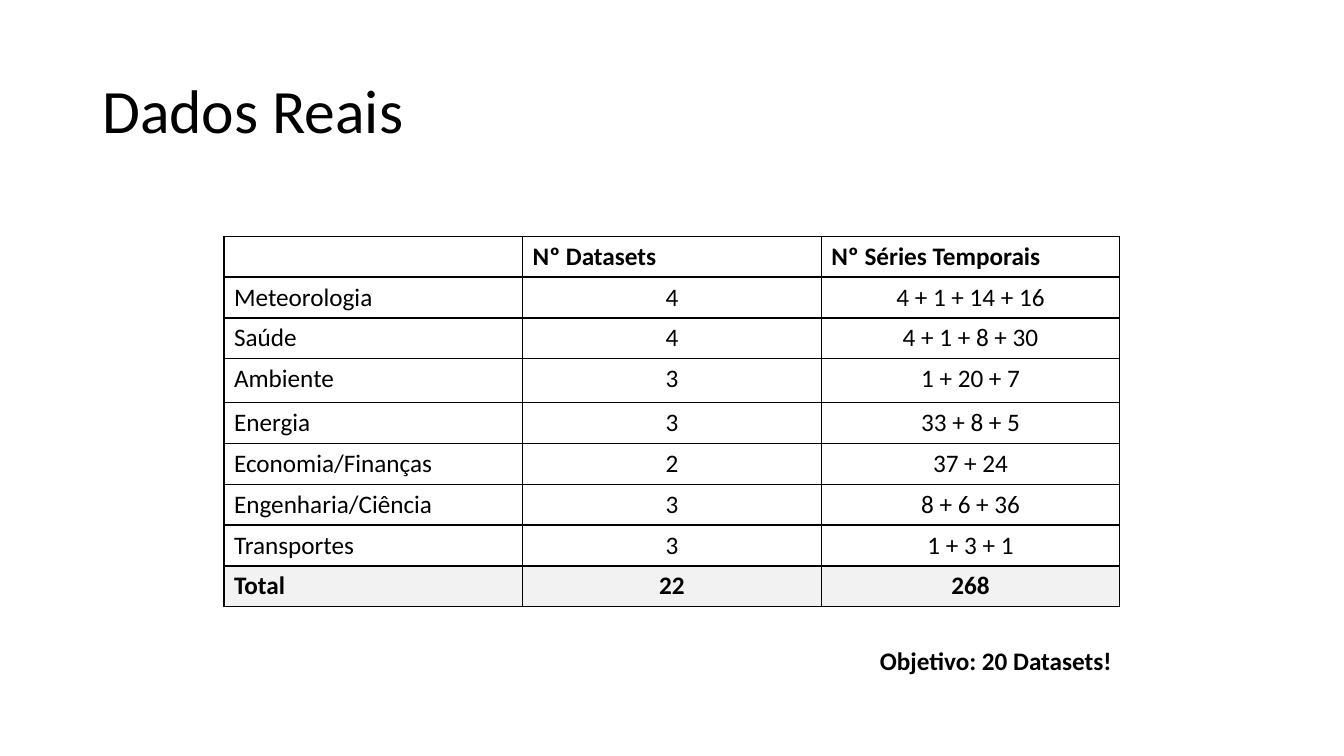
import pptx
import pptx.util
import pptx.dml.color
import pptx.enum.text
import pptx.oxml
import pptx.oxml.ns

Pt = pptx.util.Pt
Align = pptx.enum.text.PP_ALIGN
Anchor = pptx.enum.text.MSO_ANCHOR

ROWS = [
    ("", "Nº Datasets", "Nº Séries Temporais"),
    ("Meteorologia", "4", "4 + 1 + 14 + 16"),
    ("Saúde", "4", "4 + 1 + 8 + 30"),
    ("Ambiente", "3", "1 + 20 + 7"),
    ("Energia", "3", "33 + 8 + 5"),
    ("Economia/Finanças", "2", "37 + 24"),
    ("Engenharia/Ciência", "3", "8 + 6 + 36"),
    ("Transportes", "3", "1 + 3 + 1"),
    ("Total", "22", "268"),
]


def color(text):
    return pptx.dml.color.RGBColor.from_string(text)


def write(para, text, size, bold=False):
    run = para.add_run()
    run.text = text
    run.font.name = "Calibri"
    run.font.size = Pt(size)
    run.font.bold = bold
    run.font.color.rgb = color("000000")


def border(cell):
    props = cell._tc.get_or_add_tcPr()
    for index, side in enumerate(("lnL", "lnR", "lnT", "lnB")):
        line = pptx.oxml.parse_xml(
            f'<a:{side} {pptx.oxml.ns.nsdecls("a")} w="{Pt(1)}">'
            '<a:solidFill><a:srgbClr val="000000"/></a:solidFill>'
            f'</a:{side}>')
        props.insert(index, line)


def title(slide, left, top, width, height):
    frame = slide.shapes.add_textbox(
        Pt(left), Pt(top), Pt(width), Pt(height)).text_frame
    frame.word_wrap = True
    frame.vertical_anchor = Anchor.MIDDLE
    para = frame.paragraphs[0]
    para.line_spacing = 0.9
    write(para, "Dados Reais", 44)


def grid(slide, left, top, width, height):
    count = len(ROWS[0])
    table = slide.shapes.add_table(
        len(ROWS), count, Pt(left), Pt(top), Pt(width), Pt(height)).table
    table.first_row = table.horz_banding = False
    for col in table.columns:
        col.width = Pt(width / count)
    extra = 2
    for row in table.rows:
        row.height = Pt((height - extra) / len(ROWS))
    table.rows[3].height += Pt(extra)
    last = len(ROWS) - 1
    for y, row in enumerate(ROWS):
        for x, text in enumerate(row):
            cell = table.cell(y, x)
            cell.fill.solid()
            cell.fill.fore_color.rgb = color("F2F2F2" if y == last else "FFFFFF")
            border(cell)
            para = cell.text_frame.paragraphs[0]
            if x and y:
                para.alignment = Align.CENTER
            if text:
                write(para, text, 18, y in (0, last))


def goal(slide, left, top, width, height):
    frame = slide.shapes.add_textbox(
        Pt(left), Pt(top), Pt(width), Pt(height)).text_frame
    frame.word_wrap = False
    frame.auto_size = pptx.enum.text.MSO_AUTO_SIZE.SHAPE_TO_FIT_TEXT
    write(frame.paragraphs[0], "Objetivo: 20 Datasets!", 18, True)


def main():
    deck = pptx.Presentation()
    deck.slide_width = Pt(960)
    deck.slide_height = Pt(540)
    slide = deck.slides.add_slide(deck.slide_layouts[6])
    grid(slide, 160, 168.7, 640, 264.8)
    goal(slide, 621.4, 457.2, 181.4, 29)
    title(slide, 66, 28.75, 828, 104.4)
    deck.save("out.pptx")


if __name__ == "__main__":
    main()
